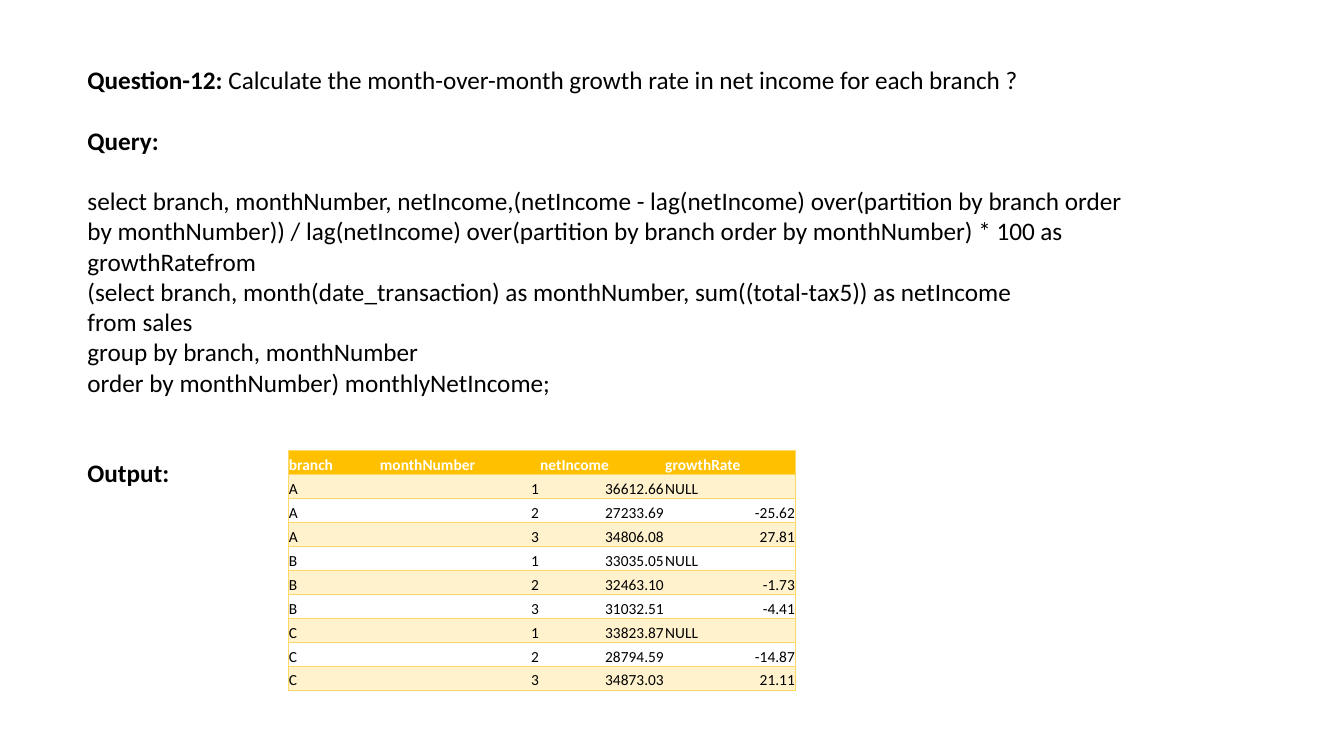
from dataclasses import dataclass

from lxml import etree
from pptx import Presentation
from pptx.dml.color import RGBColor
from pptx.enum.text import MSO_ANCHOR, PP_ALIGN
from pptx.oxml.ns import qn
from pptx.util import Pt

BOTTOM = MSO_ANCHOR.BOTTOM
LEFT, RIGHT = PP_ALIGN.LEFT, PP_ALIGN.RIGHT
BLANK_LAYOUT = 6


@dataclass(frozen=True)
class Theme:
    font: str = "Calibri"
    body_size: float = 18
    table_size: float = 11
    ink: str = "000000"
    header_ink: str = "FFFFFF"
    header_fill: str = "FFC000"
    band_fill: str = "FFF2CC"
    rule: str = "FFD966"
    rule_width: float = 0.5
    line_gap: float = 21.6


# Each paragraph: blank lines of space above it, then (text, bold) runs.
ANSWER = [
    (0, [("Question-12: ", True),
         ("Calculate the month-over-month growth rate in net income for each branch ?", False)]),
    (1, [("Query:", True)]),
    (1, [("select branch, monthNumber, netIncome,(netIncome - lag(netIncome) "
          "over(partition by branch order by monthNumber)) / lag(netIncome) "
          "over(partition by branch order by monthNumber) * 100 as growthRatefrom", False)]),
    (0, [("(select branch, month(date_transaction) as monthNumber, "
          "sum((total-tax5)) as netIncome", False)]),
    (0, [("from sales", False)]),
    (0, [("group by branch, monthNumber", False)]),
    (0, [("order by monthNumber) monthlyNetIncome;", False)]),
    (2, [("Output:", True)]),
]

OUTPUT_ROWS = [
    ("branch", "monthNumber", "netIncome", "growthRate"),
    ("A", "1", "36612.66", "NULL"),
    ("A", "2", "27233.69", "-25.62"),
    ("A", "3", "34806.08", "27.81"),
    ("B", "1", "33035.05", "NULL"),
    ("B", "2", "32463.10", "-1.73"),
    ("B", "3", "31032.51", "-4.41"),
    ("C", "1", "33823.87", "NULL"),
    ("C", "2", "28794.59", "-14.87"),
    ("C", "3", "34873.03", "21.11"),
]
COLUMN_WIDTHS = [65, 114.5, 89.3, 93.6]
ROW_HEIGHT = 17.14


class SlideBuilder:
    def __init__(self, slide, theme):
        self.slide = slide
        self.theme = theme

    def style_run(self, run, size, color, bold):
        run.font.name = self.theme.font
        run.font.size = Pt(size)
        run.font.bold = bold
        run.font.color.rgb = RGBColor.from_string(color)

    def text(self, left, top, width, height, paragraphs):
        box = self.slide.shapes.add_textbox(Pt(left), Pt(top), Pt(width), Pt(height))
        frame = box.text_frame
        frame.word_wrap = True
        for index, (blank_lines, runs) in enumerate(paragraphs):
            paragraph = frame.add_paragraph() if index else frame.paragraphs[0]
            paragraph.space_before = Pt(blank_lines * self.theme.line_gap)
            for words, bold in runs:
                run = paragraph.add_run()
                run.text = words
                self.style_run(run, self.theme.body_size, self.theme.ink, bold)

    def borders(self, cell, ruled_sides):
        """Rule the given sides of a cell (from L, R, T, B) and clear the others."""
        properties = cell._tc.get_or_add_tcPr()
        for position, side in enumerate("LRTB"):
            line = etree.Element(qn(f"a:ln{side}"), w=str(Pt(self.theme.rule_width)))
            if side in ruled_sides:
                fill = etree.SubElement(line, qn("a:solidFill"))
                etree.SubElement(fill, qn("a:srgbClr"), val=self.theme.rule)
            else:
                etree.SubElement(line, qn("a:noFill"))
            properties.insert(position, line)

    def cell(self, cell, value, fill, color, bold):
        cell.margin_left = cell.margin_right = cell.margin_top = Pt(0.5)
        cell.margin_bottom = Pt(0)
        cell.vertical_anchor = BOTTOM
        if fill:
            cell.fill.solid()
            cell.fill.fore_color.rgb = RGBColor.from_string(fill)
        else:
            cell.fill.background()
        cell.text_frame.text = value
        paragraph = cell.text_frame.paragraphs[0]
        is_number = value.lstrip("-").replace(".", "").isdigit()
        paragraph.alignment = RIGHT if is_number else LEFT
        self.style_run(paragraph.runs[0], self.theme.table_size, color, bold)

    def table(self, left, top, widths, row_height, rows):
        theme = self.theme
        table = self.slide.shapes.add_table(
            len(rows), len(widths), Pt(left), Pt(top),
            Pt(sum(widths)), Pt(row_height * len(rows))).table
        table.horz_banding = False
        for column, width in zip(table.columns, widths):
            column.width = Pt(width)
        last = len(widths) - 1
        for row_index, values in enumerate(rows):
            table.rows[row_index].height = Pt(row_height)
            is_header = row_index == 0
            band = theme.band_fill if row_index % 2 else None
            fill = theme.header_fill if is_header else band
            color = theme.header_ink if is_header else theme.ink
            for column_index, value in enumerate(values):
                cell = table.cell(row_index, column_index)
                self.cell(cell, value, fill, color, is_header)
                self.borders(cell, "TB" + {0: "L", last: "R"}.get(column_index, ""))


def main():
    deck = Presentation()
    deck.slide_width, deck.slide_height = Pt(960), Pt(540)
    builder = SlideBuilder(deck.slides.add_slide(deck.slide_layouts[BLANK_LAYOUT]), Theme())
    builder.text(55.4, 42.5, 774.7, 465, ANSWER)
    builder.table(205.9, 321.8, COLUMN_WIDTHS, ROW_HEIGHT, OUTPUT_ROWS)
    deck.save("out.pptx")


if __name__ == "__main__":
    main()
